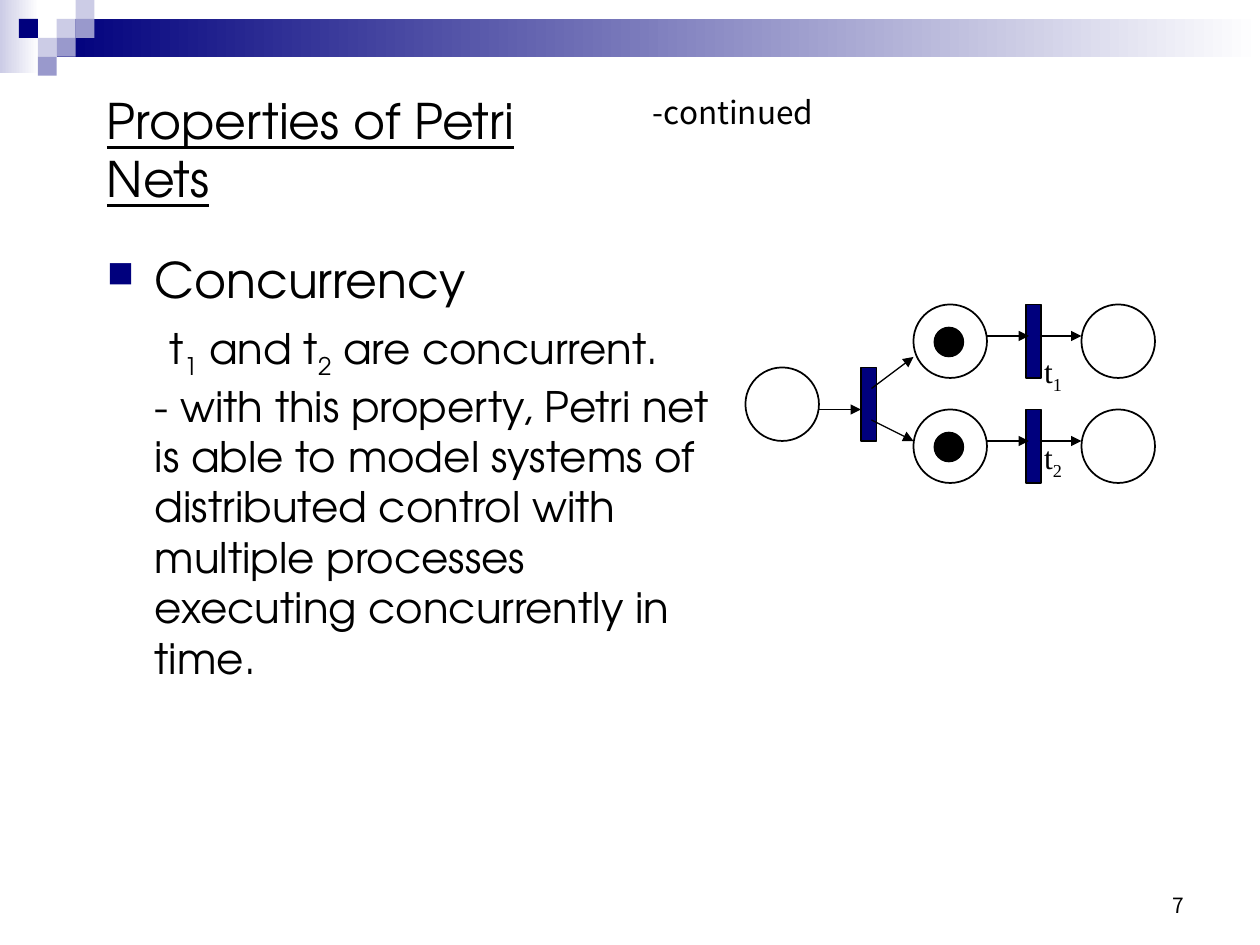
from lxml.etree import SubElement
from pptx import Presentation
from pptx.dml.color import RGBColor
from pptx.enum.shapes import MSO_CONNECTOR, MSO_SHAPE
from pptx.enum.text import MSO_ANCHOR, PP_ALIGN
from pptx.oxml.ns import qn
from pptx.util import Inches, Pt

CELL = Inches(1) / 12  # the slide is a grid of 120 columns by 90 rows
COLUMNS, ROWS = 120, 90
NAVY, LAVENDER, VIOLET, BLACK, WHITE = "00007D", "CCCCE6", "9999CC", "000000", "FFFFFF"
TITLE_FONT, PLAIN_FONT, LABEL_FONT = "TeX Gyre Adventor", "Noto Sans CJK KR", "Times New Roman"


def color(value):
    return RGBColor.from_string(value)


def grid(*cells):
    return [round(cell * CELL) for cell in cells]


def add_part(slide, kind, box, fill=None, line_width=None):
    """Add a preset shape; a pair of fill colours makes a left-to-right gradient."""
    shape = slide.shapes.add_shape(kind, *grid(*box))
    shape.shadow.inherit = False
    if isinstance(fill, tuple):
        shape.fill.gradient()
        shape.fill.gradient_angle = 0
        for stop, value in zip(shape.fill.gradient_stops, fill):
            stop.color.rgb = color(value)
    elif fill:
        shape.fill.solid()
        shape.fill.fore_color.rgb = color(fill)
    else:
        shape.fill.background()
    if line_width:
        shape.line.color.rgb = color(BLACK)
        shape.line.width = Pt(line_width)
    else:
        shape.line.fill.background()
    return shape


def add_arrow(slide, start, end):
    connector = slide.shapes.add_connector(MSO_CONNECTOR.STRAIGHT, *grid(*start, *end))
    connector.line.color.rgb = color(BLACK)
    connector.line.width = Pt(0.75)
    SubElement(connector.line._get_or_add_ln(), qn("a:tailEnd"), type="triangle")
    SubElement(connector._element.spPr, qn("a:effectLst"))


def add_text_frame(slide, box, wrap=True):
    frame = slide.shapes.add_textbox(*grid(*box)).text_frame
    frame.word_wrap = wrap
    return frame


def write(paragraph, text, font, size):
    """Fill a paragraph; a digit after an underscore becomes a subscript."""
    first, *rest = text.split("_")
    paragraph.add_run().text = first
    for piece in rest:
        subscript = paragraph.add_run()
        subscript.text = piece[0]
        subscript.font._element.set("baseline", "-25000")
        if piece[1:]:
            paragraph.add_run().text = piece[1:]
    paragraph.font.name = font
    paragraph.font.size = Pt(size)
    paragraph.font.color.rgb = color(BLACK)


def set_indent(paragraph, left, first=0):
    properties = paragraph._p.get_or_add_pPr()
    properties.set("marL", str(Inches(left)))
    properties.set("indent", str(Inches(first)))
    return properties


def add_square_bullet(paragraph):
    properties = set_indent(paragraph, 0.38, -0.38)
    bullet_color = SubElement(properties, qn("a:buClr"))
    SubElement(bullet_color, qn("a:srgbClr"), val=NAVY)
    SubElement(properties, qn("a:buSzPct"), val="75000")
    SubElement(properties, qn("a:buChar"), char="■")


def build_header(slide, left, top, width):
    tile = 1.8
    add_part(slide, MSO_SHAPE.RECTANGLE, (left, top, 3.7, 7), (LAVENDER, WHITE))
    add_part(slide, MSO_SHAPE.RECTANGLE,
             (left + 3 * tile, top + tile, width - 3 * tile, 2 * tile), (NAVY, WHITE))
    # Mosaic of tiles: column, row, colour
    for column, row, fill in [(3, 1, LAVENDER), (4, 0, LAVENDER), (4, 1, VIOLET),
                              (2, 2, LAVENDER), (1, 1, NAVY), (3, 2, VIOLET), (2, 3, VIOLET)]:
        add_part(slide, MSO_SHAPE.RECTANGLE,
                 (left + column * tile, top + row * tile, tile, tile), fill)


def build_title(slide, left, top, width):
    paragraph = add_text_frame(slide, (left, top, width, 7)).paragraphs[0]
    write(paragraph, "Properties of Petri Nets", TITLE_FONT, 28)
    paragraph.font.underline = True

    # Continuation note beside the title
    note = add_text_frame(slide, (left + 52, top + 1, 32, 6)).paragraphs[0]
    note.line_spacing = 0.8
    note.space_before = Pt(3.6)
    write(note, "-continued", PLAIN_FONT, 18)


def build_body(slide, left, top, width, height):
    frame = add_text_frame(slide, (left, top, width, height))
    heading = frame.paragraphs[0]
    add_square_bullet(heading)
    write(heading, "Concurrency", TITLE_FONT, 28)

    statement = frame.add_paragraph()
    set_indent(statement, 0.5)
    statement.space_before = Pt(8)
    write(statement, "t_1 and t_2 are concurrent.", TITLE_FONT, 24)

    explanation = frame.add_paragraph()
    set_indent(explanation, 0.38)
    write(explanation, "- with this property, Petri net is able to model systems of distributed "
          "control with multiple processes executing concurrently in time.", TITLE_FONT, 24)


def add_place(slide, left, top, token=False):
    add_part(slide, MSO_SHAPE.OVAL, (left, top, 7, 7), line_width=1)
    if token:
        add_part(slide, MSO_SHAPE.OVAL, (left + 2, top + 2.2, 2.75, 2.75), BLACK, 1)


def add_transition(slide, left, top):
    add_part(slide, MSO_SHAPE.RECTANGLE, (left, top, 1.45, 7), NAVY, 0.75)


def build_branch(slide, left, top, label, label_drop):
    """Marked place, transition and output place in one row."""
    add_place(slide, left, top, token=True)
    add_transition(slide, left + 10.7, top)
    add_place(slide, left + 16, top)
    for start, end in [(7, 11), (12, 16)]:
        add_arrow(slide, (left + start, top + 3), (left + end, top + 3))
    frame = add_text_frame(slide, (left + 12.45, top + label_drop, 3, 3.5), wrap=False)
    frame.margin_left = frame.margin_right = frame.margin_top = frame.margin_bottom = 0
    write(frame.paragraphs[0], label, LABEL_FONT, 18)


def build_petri_net(slide, left, top):
    # Source place and the transition that forks
    add_place(slide, left, top + 6)
    add_transition(slide, left + 11, top + 6)
    add_arrow(slide, (left + 7, top + 10), (left + 11, top + 10))
    # Two concurrent branches
    build_branch(slide, left + 16, top, "t_1", 4.5)
    build_branch(slide, left + 16, top + 10, "t_2", 2.7)
    for start_row, end_row in [(8, 5), (11, 13)]:
        add_arrow(slide, (left + 12, top + start_row), (left + 16, top + end_row))


def build_slide_number(slide, left, top, width, height):
    frame = add_text_frame(slide, (left, top, width, height))
    frame.vertical_anchor = MSO_ANCHOR.BOTTOM
    frame.paragraphs[0].alignment = PP_ALIGN.RIGHT
    write(frame.paragraphs[0], "7", PLAIN_FONT, 12)


def main():
    presentation = Presentation()
    presentation.slide_width, presentation.slide_height = grid(COLUMNS, ROWS)
    slide = presentation.slides.add_slide(presentation.slide_layouts[6])
    build_header(slide, 0, 0, COLUMNS)
    build_title(slide, 9, 8, 51)
    build_body(slide, 9, 23.2, 61, 50)
    build_petri_net(slide, 71, 29)
    build_slide_number(slide, 86, 82, 28, 6)
    presentation.save("out.pptx")


if __name__ == "__main__":
    main()
